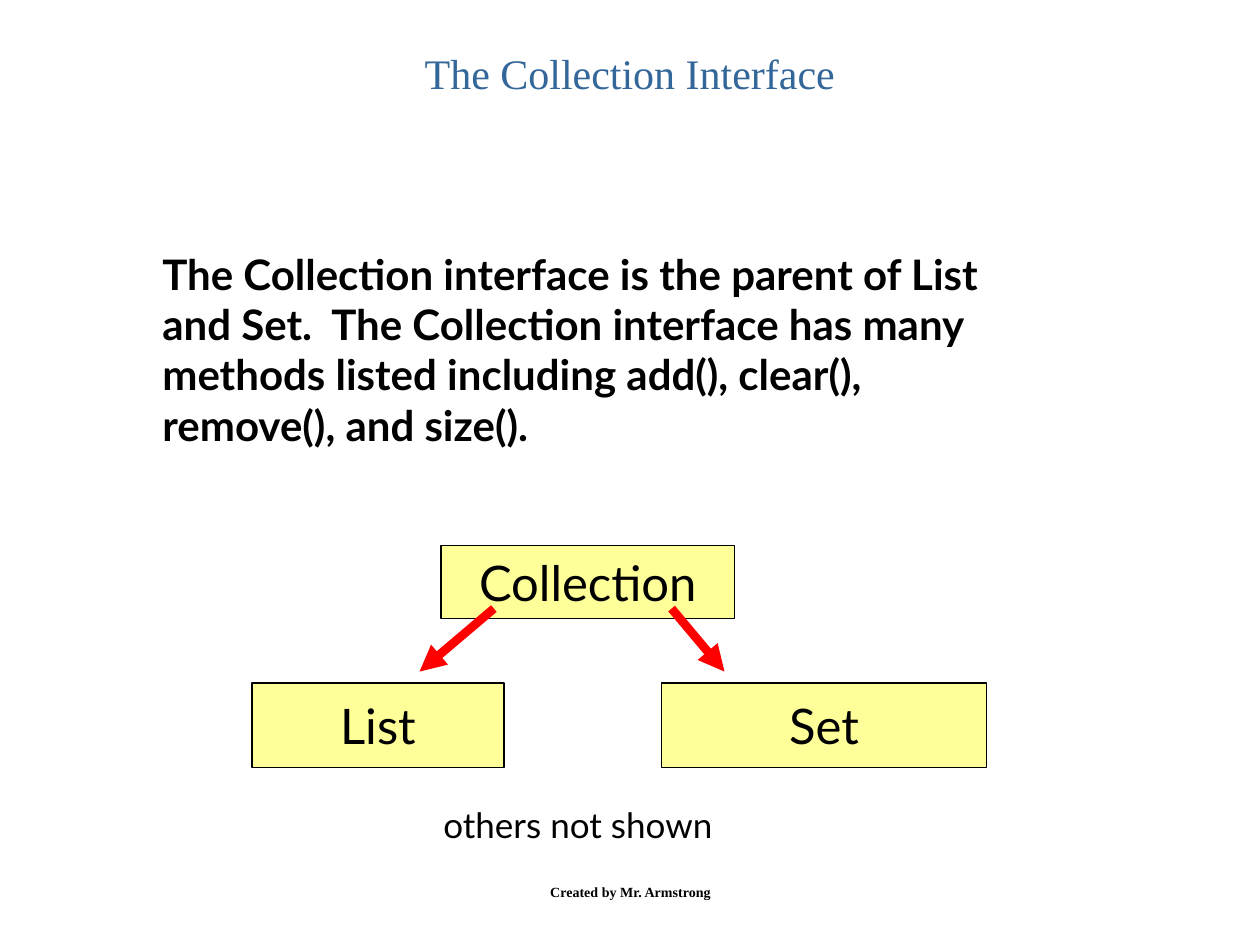
from pptx import Presentation
from pptx.dml.color import RGBColor
from pptx.enum.shapes import MSO_CONNECTOR as Connector, MSO_SHAPE as Shape
from pptx.enum.text import MSO_ANCHOR as Anchor, PP_ALIGN as Align
from pptx.oxml.ns import qn
from pptx.util import Inches, Pt
from lxml import etree

COLORS = {"title": "336699", "text": "000000", "box": "FFFF99", "arrow": "FF0000"}
SANS, SERIF = "Lato", "Times New Roman"


def color(name):
    return RGBColor.from_string(COLORS[name])


def write(frame, lines, size, font=SANS, ink="text", bold=False, align=Align.LEFT):
    for number, line in enumerate(lines):
        paragraph = frame.add_paragraph() if number else frame.paragraphs[0]
        paragraph.alignment = align
        run = paragraph.add_run()
        run.text = line
        run.font.size = Pt(size)
        run.font.name = font
        run.font.bold = bold
        run.font.color.rgb = color(ink)


def add_text(slide, place, lines, size, anchor=Anchor.TOP, **style):
    frame = slide.shapes.add_textbox(*map(Inches, place)).text_frame
    frame.word_wrap = True
    frame.vertical_anchor = anchor
    write(frame, lines, size, **style)


def add_interface(slide, place, name):
    box = slide.shapes.add_shape(Shape.RECTANGLE, *map(Inches, place))
    box.shadow.inherit = False
    box.fill.solid()
    box.fill.fore_color.rgb = color("box")
    box.line.color.rgb = color("text")
    box.line.width = Pt(0.75)
    box.text_frame.word_wrap = False
    box.text_frame.vertical_anchor = Anchor.MIDDLE
    write(box.text_frame, [name], 28, align=Align.CENTER)


def add_arrow(slide, start, end):
    arrow = slide.shapes.add_connector(Connector.STRAIGHT, *map(Inches, start + end))
    arrow.line.color.rgb = color("arrow")
    arrow.line.width = Pt(5)
    etree.SubElement(arrow.line._get_or_add_ln(), qn("a:tailEnd"), type="triangle")
    etree.SubElement(arrow._element.spPr, qn("a:effectLst"))


def main():
    deck = Presentation()
    deck.slide_width, deck.slide_height = Inches(10), Inches(7.5)
    slide = deck.slides.add_slide(deck.slide_layouts[6])

    add_text(slide, (1.19, 1.92, 7.48, 1.7), [
        "The Collection interface is the parent of List",
        "and Set.  The Collection interface has many",
        "methods listed including add(), clear(),",
        "remove(), and size().",
    ], 24, bold=True)
    add_text(slide, (0.75, 0.33, 8.5, 0.67), ["The Collection Interface"], 24,
             font=SERIF, ink="title", align=Align.CENTER)

    add_interface(slide, (3.5, 4.33, 2.33, 0.58), "Collection")
    add_arrow(slide, (3.92, 4.83), (3.33, 5.33))
    add_arrow(slide, (5.33, 4.83), (5.75, 5.33))
    add_interface(slide, (2, 5.42, 2, 0.67), "List")
    add_interface(slide, (5.25, 5.42, 2.58, 0.67), "Set")

    add_text(slide, (3.42, 6.33, 2.49, 0.44), ["others not shown"], 20)
    add_text(slide, (3.42, 6.83, 3.17, 0.5), ["Created by Mr. Armstrong"], 8,
             anchor=Anchor.MIDDLE, font=SERIF, bold=True, align=Align.CENTER)

    deck.save("out.pptx")


if __name__ == "__main__":
    main()
